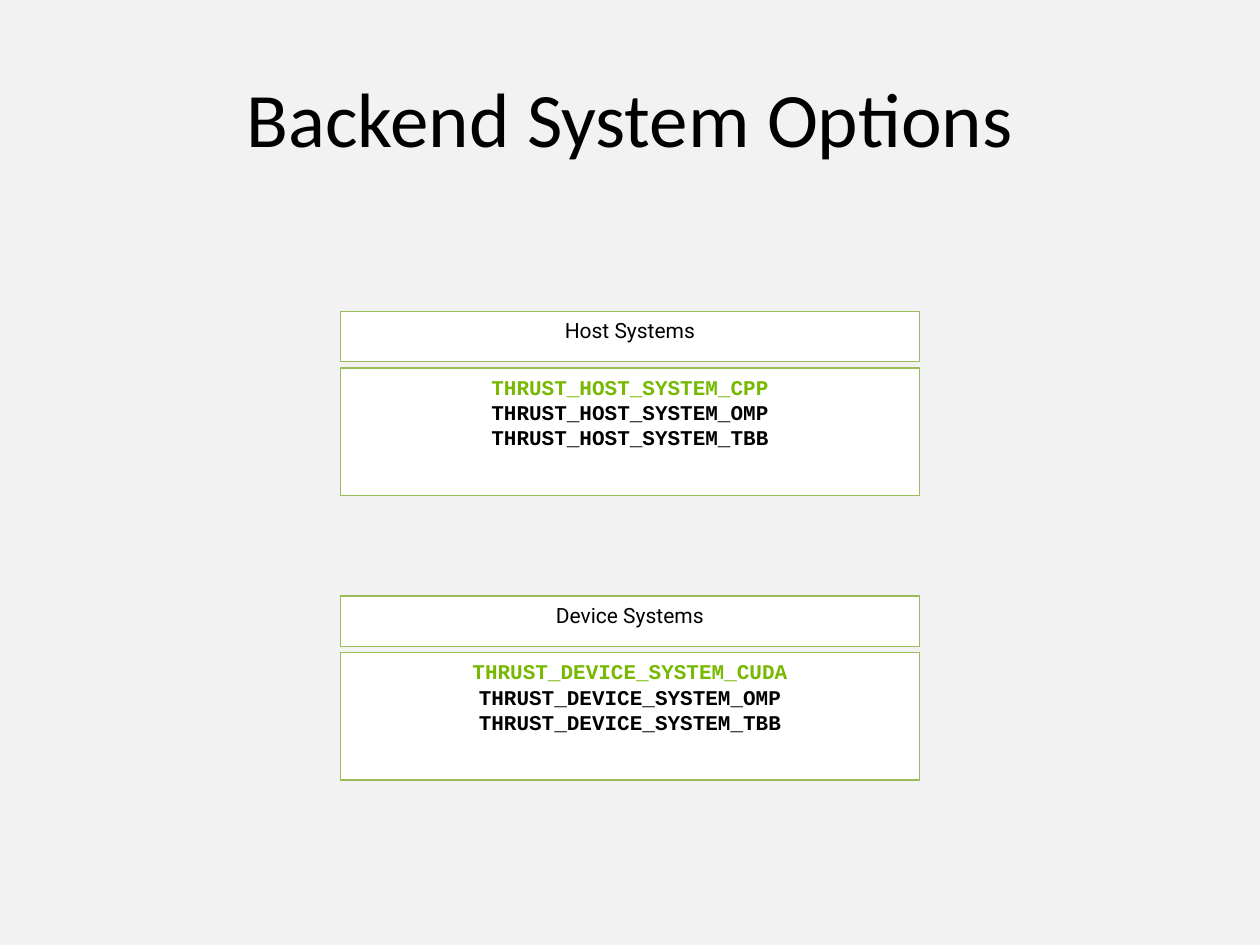
from pptx import Presentation
from pptx.dml.color import RGBColor
from pptx.enum import shapes, text
from pptx.util import Pt

COLORS = {
    "background": "F2F2F2",
    "box": "FFFFFF",
    "border": "9BBB59",
    "default": "76B900",
    "text": "000000",
}
SYSTEMS = [
    ("Device Systems", 340.6, [
        "THRUST_DEVICE_SYSTEM_CUDA",
        "THRUST_DEVICE_SYSTEM_OMP",
        "THRUST_DEVICE_SYSTEM_TBB",
    ]),
    ("Host Systems", 177.9, [
        "THRUST_HOST_SYSTEM_CPP",
        "THRUST_HOST_SYSTEM_OMP",
        "THRUST_HOST_SYSTEM_TBB",
    ]),
]
OPTIONS_OFFSET = 32.4


def write_lines(frame, lines, font_name, size, bold=False, first_color="text"):
    frame.word_wrap = True
    for index, line in enumerate(lines):
        paragraph = frame.paragraphs[0] if index == 0 else frame.add_paragraph()
        paragraph.text = line
        paragraph.alignment = text.PP_ALIGN.CENTER
        paragraph.font.name = font_name
        paragraph.font.size = Pt(size)
        paragraph.font.bold = bold
        color = first_color if index == 0 else "text"
        paragraph.font.color.rgb = RGBColor.from_string(COLORS[color])


def add_box(top, height):
    box = slide.shapes.add_shape(
        shapes.MSO_SHAPE.RECTANGLE, Pt(194.4), Pt(top), Pt(331.2), Pt(height))
    box.shadow.inherit = False
    box.fill.solid()
    box.fill.fore_color.rgb = RGBColor.from_string(COLORS["box"])
    box.line.color.rgb = RGBColor.from_string(COLORS["border"])
    box.line.width = Pt(0.75)
    box.text_frame.vertical_anchor = text.MSO_ANCHOR.TOP
    return box.text_frame


deck = Presentation()
deck.slide_width, deck.slide_height = Pt(720), Pt(540)
slide = deck.slides.add_slide(deck.slide_layouts[6])
slide.background.fill.solid()
slide.background.fill.fore_color.rgb = RGBColor.from_string(COLORS["background"])

title = slide.shapes.add_textbox(Pt(36), Pt(21.6), Pt(648), Pt(90)).text_frame
title.vertical_anchor = text.MSO_ANCHOR.MIDDLE
write_lines(title, ["Backend System Options"], "Calibri", 44)

for heading, top, options in SYSTEMS:
    write_lines(add_box(top, 28.8), [heading], "Roboto", 12)
    write_lines(add_box(top + OPTIONS_OFFSET, 72.7), options, "Courier New", 12,
                bold=True, first_color="default")

deck.save("out.pptx")
